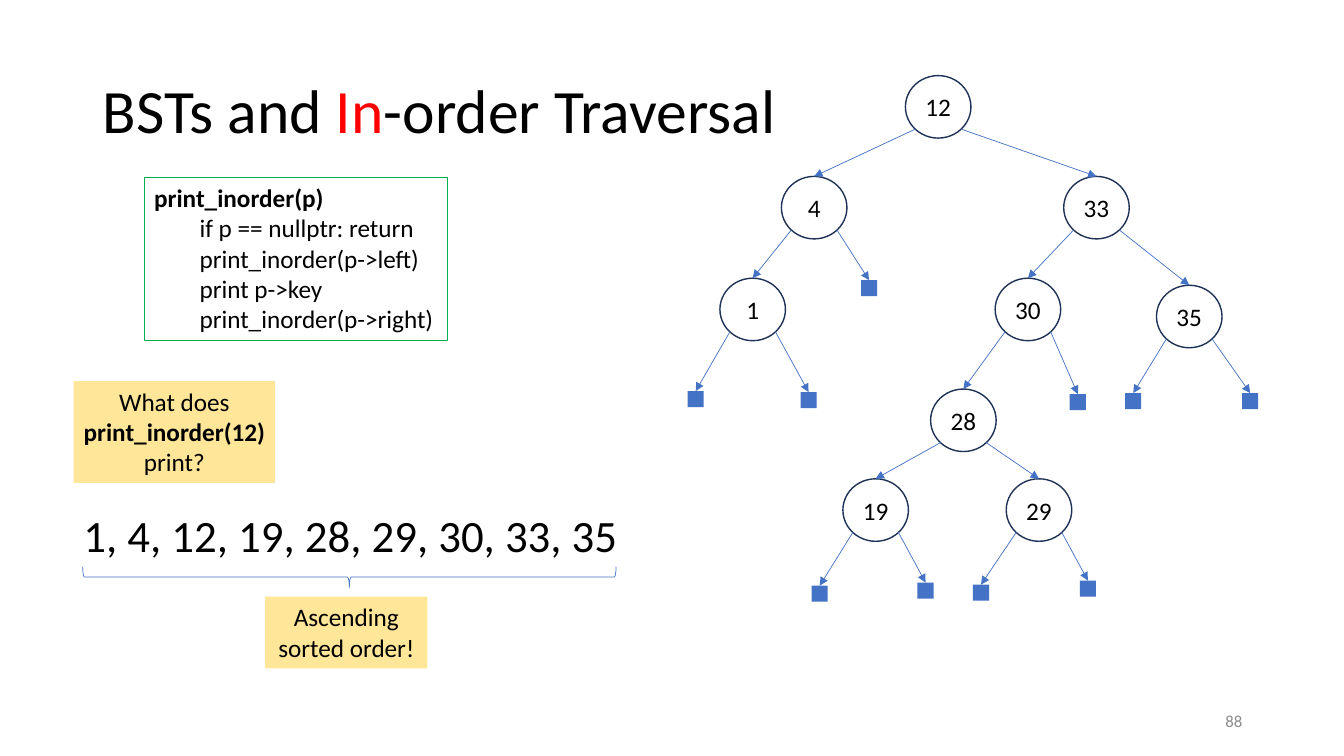
from pptx import Presentation
from pptx.dml.color import RGBColor
from pptx.enum.shapes import MSO_CONNECTOR, MSO_SHAPE
from pptx.enum.text import MSO_ANCHOR, PP_ALIGN
from pptx.oxml.ns import qn
from pptx.util import Pt
from lxml import etree

RECT, OVAL, BRACE = MSO_SHAPE.RECTANGLE, MSO_SHAPE.OVAL, MSO_SHAPE.LEFT_BRACE
STRAIGHT = MSO_CONNECTOR.STRAIGHT
TOP, MIDDLE = MSO_ANCHOR.TOP, MSO_ANCHOR.MIDDLE
LEFT, CENTER, RIGHT = PP_ALIGN.LEFT, PP_ALIGN.CENTER, PP_ALIGN.RIGHT

PX = 9144  # 100 px to the inch


class Theme:
    font = "Calibri"
    ink, red, gray = "000000", "FF0000", "8C8C8C"
    blue, navy, green, sand = "4472C4", "1E3256", "00B050", "FFE699"
    title, answer, body, small = 44, 32, 18, 12
    thin, frame, ring = 0.5, 0.75, 1


NODE_W, NODE_H, LEAF = 65, 62, 16

# Inner node: key, left, top, left child, right child; leaf: left, top
TREE = (12, 898, 75,
        (4, 775, 175,
         (1, 714, 276, (682, 388), (794, 389)),
         (854, 278)),
        (33, 1055, 175,
         (30, 987, 276,
          (28, 923, 386,
           (19, 836, 475, (805, 581), (910, 578)),
           (29, 998, 475, (965, 580), (1071, 576))),
          (1061, 391)),
         (35, 1147, 283, (1116, 390), (1232, 390))))

CODE = ["print_inorder(p)",
        "        if p == nullptr: return",
        "        print_inorder(p->left)",
        "        print p->key",
        "        print_inorder(p->right)"]


def rgb(code):
    return RGBColor.from_string(code)


def scale(*sizes):
    return [size * PX for size in sizes]


def apply(target, values):
    for name, value in values.items():
        setattr(target, name, value)


def write(shape, lines, size, align=LEFT, anchor=TOP, wrap=True,
          side=10, space=None):
    """Each line is a list of (text, colour, bold) runs."""
    frame = shape.text_frame
    apply(frame, {"word_wrap": wrap, "vertical_anchor": anchor,
                  "margin_left": side * PX, "margin_right": side * PX,
                  "margin_top": 5 * PX, "margin_bottom": 5 * PX})
    for index, line in enumerate(lines):
        para = frame.add_paragraph() if index else frame.paragraphs[0]
        apply(para, {"alignment": align, "line_spacing": space})
        for text, color, bold in line:
            run = para.add_run()
            run.text = text
            apply(run.font, {"name": Theme.font, "size": Pt(size),
                             "bold": bold})
            run.font.color.rgb = rgb(color)


def label(slide, box, lines, size, **style):
    write(slide.shapes.add_textbox(*scale(*box)), lines, size, **style)


def block(slide, kind, box, fill=None, line=None, width=Theme.thin):
    shape = slide.shapes.add_shape(kind, *scale(*box))
    shape.shadow.inherit = False
    if fill:
        shape.fill.solid()
        shape.fill.fore_color.rgb = rgb(fill)
    else:
        shape.fill.background()
    if line:
        shape.line.color.rgb = rgb(line)
        shape.line.width = Pt(width)
    else:
        shape.line.fill.background()
    return shape


def callout(slide, box, runs):
    shape = block(slide, RECT, box, fill=Theme.sand)
    write(shape, [runs], Theme.body, align=CENTER, side=8)


def arrow(slide, x, y, child):
    link = slide.shapes.add_connector(STRAIGHT, *scale(x, y, x, y))
    link.end_connect(child, 0)
    link.line.color.rgb = rgb(Theme.blue)
    link.line.width = Pt(Theme.thin)
    etree.SubElement(link.line._get_or_add_ln(), qn("a:tailEnd"),
                     type="triangle")
    etree.SubElement(link._element.spPr, qn("a:effectLst"))


def tree(slide, node):
    """Draw a node with everything below it and return its shape."""
    if len(node) == 2:
        return block(slide, RECT, (*node, LEAF, LEAF), fill=Theme.blue)
    key, x, y, *kids = node
    ring = block(slide, OVAL, (x, y, NODE_W, NODE_H),
                 line=Theme.navy, width=Theme.ring)
    write(ring, [[(str(key), Theme.ink, False)]], Theme.body,
          align=CENTER, anchor=MIDDLE, wrap=False, side=0)
    for start, kid in zip((x + 10, x + NODE_W - 10), kids):
        arrow(slide, start, y + 53, tree(slide, kid))
    return ring


def main():
    deck = Presentation()
    apply(deck, {"slide_width": 1333 * PX, "slide_height": 750 * PX})
    slide = deck.slides.add_slide(deck.slide_layouts[6])
    ink = Theme.ink

    # Title and page number
    label(slide, (92, 40, 698, 145),
          [[("BSTs and ", ink, False), ("In", Theme.red, False),
            ("-order Traversal", ink, False)]],
          Theme.title, anchor=MIDDLE, space=0.9)
    label(slide, (942, 695, 300, 40), [[("88", Theme.gray, False)]],
          Theme.small, align=RIGHT, anchor=MIDDLE)

    # Code
    code = block(slide, RECT, (143, 176, 301, 162),
                 line=Theme.green, width=Theme.frame)
    write(code, [[(text, ink, index == 0)]
                 for index, text in enumerate(CODE)],
          Theme.body, wrap=False)

    # Search tree
    tree(slide, TREE)

    # Question and answer
    label(slide, (73, 499, 556, 64),
          [[("1, 4, 12, 19, 28, 29, 30, 33, 35", ink, False)]],
          Theme.answer, wrap=False)
    brace = block(slide, BRACE, (336, 308, 21, 529), line=Theme.blue)
    brace.rotation = 270
    callout(slide, (263, 592, 161, 71),
            [("Ascending sorted order!", ink, False)])
    callout(slide, (73, 378, 200, 101),
            [("What does ", ink, False), ("print_inorder(12) ", ink, True),
             ("print?", ink, False)])

    deck.save("out.pptx")


if __name__ == "__main__":
    main()
